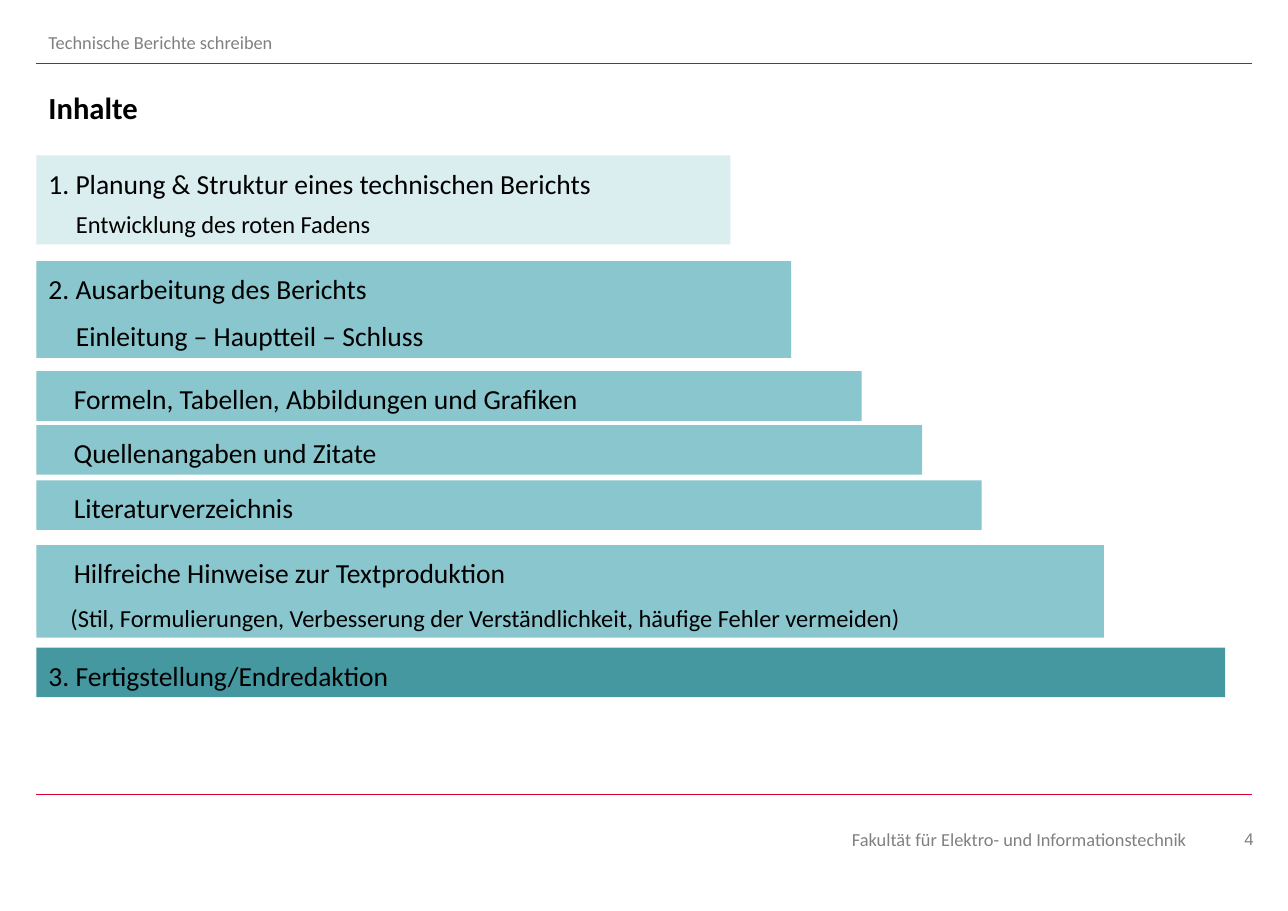
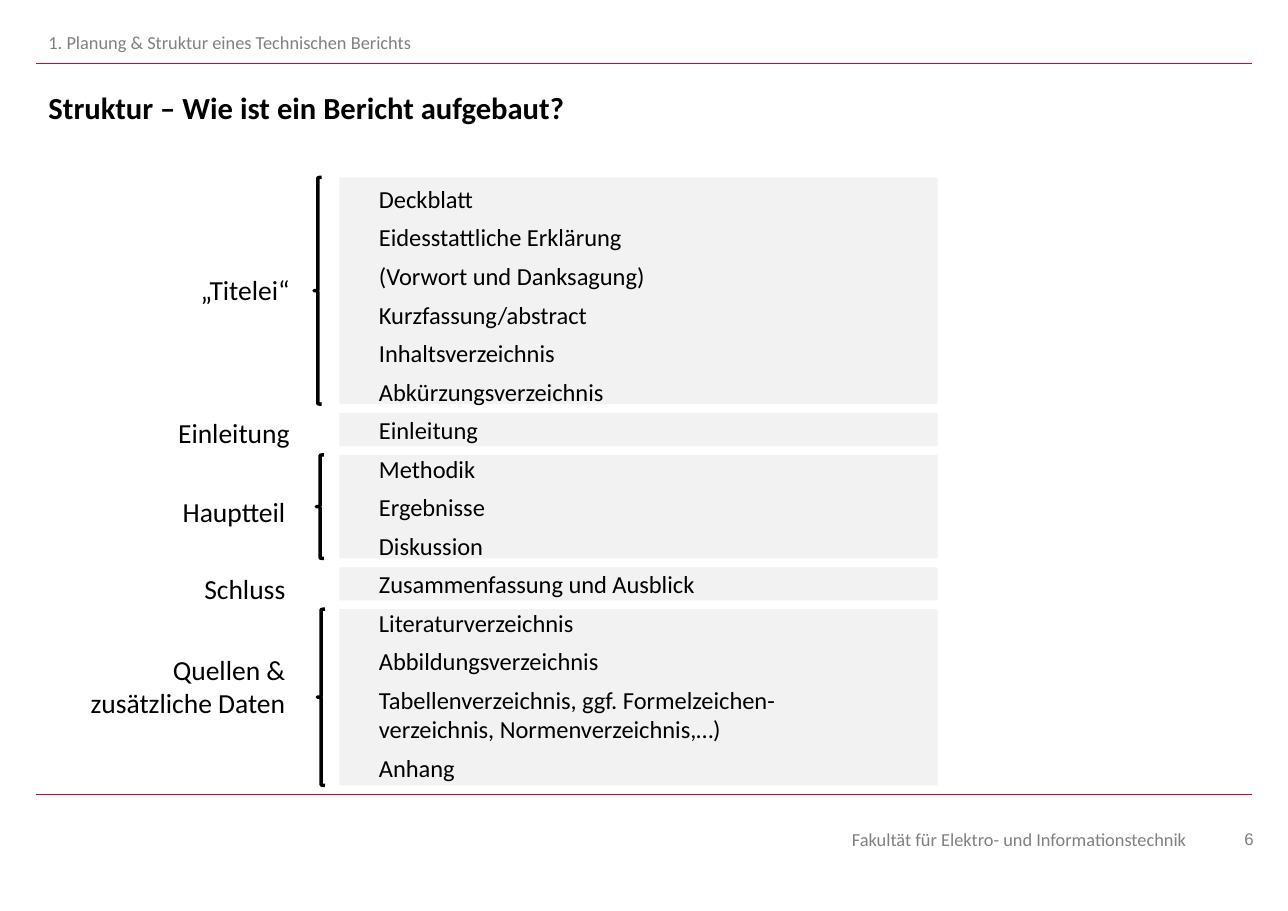
import pptx
import pptx.util
import pptx.dml.color
import pptx.enum.shapes
import pptx.enum.text
import pptx.oxml

Inches, Pt = pptx.util.Inches, pptx.util.Pt
Shape = pptx.enum.shapes.MSO_SHAPE
Anchor = pptx.enum.text.MSO_ANCHOR
Align = pptx.enum.text.PP_ALIGN

COLORS = {"red": "DB0031", "gray": "808080", "black": "000000", "panel": "F2F2F2",
          "pale": "DAEDEF", "mid": "8AC6CD", "deep": "4597A0"}
FOOTER = "Fakultät für Elektro- und Informationstechnik"
LEFT, RIGHT, WIDE = 0.33, 11.36, 11.02

BARS = [
    (1.41, 6.3, 0.81, "pale", [
        ("1. Planung & Struktur eines technischen Berichts", {}),
        ("Entwicklung des roten Fadens", {"size": 16, "indent": 0.25, "lead": 1.0})]),
    (2.37, 6.85, 0.88, "mid", [
        ("2. Ausarbeitung des Berichts", {}),
        ("Einleitung – Hauptteil – Schluss", {"indent": 0.25})]),
    (3.37, 7.49, 0.45, "mid", [
        ("Formeln, Tabellen, Abbildungen und Grafiken", {"indent": 0.23})]),
    (3.86, 8.04, 0.45, "mid", [("Quellenangaben und Zitate", {"indent": 0.23})]),
    (4.36, 8.58, 0.45, "mid", [("Literaturverzeichnis", {"indent": 0.23})]),
    (4.95, 9.69, 0.84, "mid", [
        ("Hilfreiche Hinweise zur Textproduktion", {"indent": 0.23}),
        ("(Stil, Formulierungen, Verbesserung der Verständlichkeit, häufige Fehler vermeiden)",
         {"size": 16, "indent": 0.2})]),
    (5.88, 10.79, 0.45, "deep", [("3. Fertigstellung/Endredaktion", {})]),
]

PARTS = [
    {"label": "„Titelei“", "top": 2.42, "right": 2.74, "high": 2.06, "brace": 2.85,
     "items": ["Deckblatt", "Eidesstattliche Erklärung", "(Vorwort und Danksagung)",
               "Kurzfassung/abstract", "Inhaltsverzeichnis", "Abkürzungsverzeichnis"]},
    {"label": "Einleitung", "top": 3.72, "right": 2.74, "high": 0.3,
     "items": ["Einleitung"]},
    {"label": "Hauptteil", "top": 4.43, "right": 2.7, "high": 0.94, "brace": 2.87,
     "items": ["Methodik", "Ergebnisse", "Diskussion"]},
    {"label": "Schluss", "top": 5.13, "right": 2.7, "high": 0.3,
     "items": ["Zusammenfassung und Ausblick"]},
    {"label": "Quellen & zusätzliche Daten", "top": 5.87, "right": 2.7, "high": 1.6,
     "brace": 2.88,
     "items": ["Literaturverzeichnis", "Abbildungsverzeichnis",
               "Tabellenverzeichnis, ggf. Formelzeichen-verzeichnis, Normenverzeichnis,…)",
               "Anhang"]},
]
START, GAP = 1.61, 0.08


def color(name):
    return pptx.dml.color.RGBColor.from_string(COLORS[name])


def write(frame, text, size=18, font="Calibri", tint="black", bold=False,
          align=Align.LEFT, indent=0, lead=1.0, first=True):
    para = frame.paragraphs[0] if first else frame.add_paragraph()
    para.alignment = align
    para.line_spacing = lead
    para.space_before = Pt(0 if first else 6)
    if indent:
        para._p.get_or_add_pPr().set("marL", str(Inches(indent)))
    run = para.add_run()
    run.text = text
    run.font.size, run.font.name, run.font.bold = Pt(size), font, bold
    run.font.color.rgb = color(tint)


def setup(frame, anchor=Anchor.TOP):
    frame.word_wrap = True
    frame.vertical_anchor = anchor
    frame.margin_left = frame.margin_right = Inches(0.11)
    frame.margin_top = frame.margin_bottom = Inches(0.06)
    return frame


def box(slide, place, anchor=Anchor.TOP):
    return setup(slide.shapes.add_textbox(*map(Inches, place)).text_frame, anchor)


def rect(slide, place, fill):
    shape = slide.shapes.add_shape(Shape.RECTANGLE, *map(Inches, place))
    shape.shadow.inherit = False
    shape.fill.solid()
    shape.fill.fore_color.rgb = color(fill)
    shape.line.fill.background()
    return shape


def brace(slide, place):
    shape = slide.shapes.add_shape(Shape.LEFT_BRACE, *map(Inches, place))
    shape.shadow.inherit = False
    shape.fill.background()
    shape.line.color.rgb = color("black")
    shape.line.width = Pt(2.25)


def rule(slide, y):
    line = slide.shapes.add_connector(pptx.enum.shapes.MSO_CONNECTOR.STRAIGHT,
                                      Inches(LEFT), Inches(y), Inches(RIGHT), Inches(y))
    line.line.color.rgb = color("red")
    line.line.width = Pt(0.75)
    pptx.oxml.ns
    line._element.spPr.append(pptx.oxml.parse_xml(
        '<a:effectLst xmlns:a="http://schemas.openxmlformats.org/drawingml/2006/main"/>'))


def page(deck, head, title, number):
    slide = deck.slides.add_slide(deck.slide_layouts[6])
    write(box(slide, (4.43, 7.46, 6.45, 0.32)), FOOTER, size=12, tint="gray",
          align=Align.RIGHT)
    write(box(slide, (10.89, 7.46, 0.6, 0.3)), number, size=11, font="Arial",
          tint="gray", align=Align.RIGHT)
    for y in (7.21, 0.58):
        rule(slide, y)
    write(box(slide, (LEFT, 0.78, WIDE, 0.39), Anchor.MIDDLE), title, size=20, bold=True)
    write(box(slide, (LEFT, 0.19, WIDE, 0.39), Anchor.MIDDLE), head, size=12, tint="gray")
    return slide


def agenda(deck):
    slide = page(deck, "Technische Berichte schreiben", "Inhalte", "4")
    for top, wide, high, fill, lines in BARS:
        frame = setup(rect(slide, (LEFT, top, wide, high), fill).text_frame)
        for i, (text, style) in enumerate(lines):
            write(frame, text, first=i == 0, **{"lead": 1.14, **style})


def outline(deck):
    slide = page(deck, "1. Planung & Struktur eines Technischen Berichts",
                 "Struktur – Wie ist ein Bericht aufgebaut?", "6")
    y = START
    for part in PARTS:
        rect(slide, (3.08, y, 5.43, part["high"]), "panel")
        if "brace" in part:
            brace(slide, (part["brace"], y, 0.07, part["high"]))
        write(box(slide, (part["right"] - 2.2, part["top"], 2.2, 0.42)), part["label"],
              align=Align.RIGHT)
        y += part["high"] + GAP
    frame = box(slide, (3.33, START, 4.83, 5.6))
    items = [item for part in PARTS for item in part["items"]]
    for i, item in enumerate(items):
        write(frame, item, size=16, first=i == 0)


def main():
    deck = pptx.Presentation()
    deck.slide_width, deck.slide_height = Inches(11.69), Inches(8.27)
    agenda(deck)
    outline(deck)
    deck.save("out.pptx")


if __name__ == "__main__":
    main()
